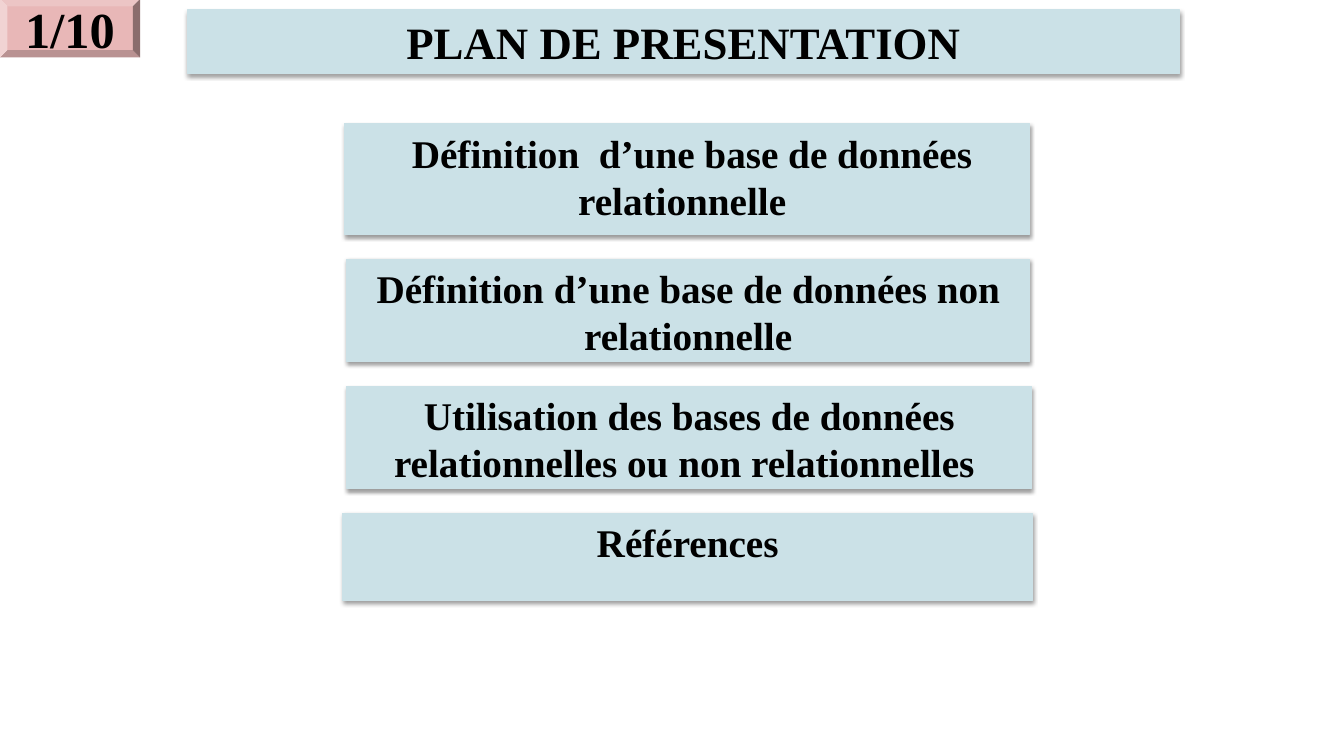
"""Build the outline slide of a talk on relational and non-relational databases."""
from lxml import etree
from pptx import Presentation, util as u
from pptx.dml.color import RGBColor
from pptx.enum import shapes, text
from pptx.oxml.ns import qn

WIDTH, HEIGHT = 13.33, 7.5
FONT = "Times New Roman"
COLORS = {"panel": "CBE1E7", "badge": "E8B7B7", "ink": "000000"}
TOPICS = [
    ((0.2565, 0.164, 0.5094, 0.1467), " Définition  d’une base de données relationnelle "),
    ((0.2581, 0.3427, 0.5079, 0.136), "Définition d’une base de données non relationnelle"),
    ((0.2581, 0.5107, 0.5094, 0.136),
     "Utilisation des bases de données relationnelles ou non relationnelles "),
    ((0.2551, 0.6787, 0.5131, 0.116), "Références"),
]


def color(name):
    """Return the named colour."""
    return RGBColor.from_string(COLORS[name])


def add_block(slide, kind, shares, fill, label, size):
    """Add a filled shape, placed by shares of the slide, with a bold centred label."""
    left, top, width, height = shares
    shape = slide.shapes.add_shape(
        kind, u.Inches(left * WIDTH), u.Inches(top * HEIGHT),
        u.Inches(width * WIDTH), u.Inches(height * HEIGHT))
    shape.shadow.inherit = False
    shape.fill.solid()
    shape.fill.fore_color.rgb = color(fill)
    shape.line.fill.background()
    shape.text_frame.text = label
    paragraph = shape.text_frame.paragraphs[0]
    paragraph.alignment = text.PP_ALIGN.CENTER
    font = paragraph.runs[0].font
    font.name, font.size, font.bold = FONT, u.Pt(size), True
    font.color.rgb = color("ink")
    return shape


def add_shadow(shape):
    """Give the shape a soft shadow that falls straight down."""
    effects = shape._element.spPr.find(qn("a:effectLst"))
    shadow = etree.SubElement(
        effects, qn("a:outerShdw"), blurRad=str(u.Pt(3.1)), dist=str(u.Pt(1.6)),
        dir="5400000", rotWithShape="0")
    tint = etree.SubElement(shadow, qn("a:srgbClr"), val=COLORS["ink"])
    etree.SubElement(tint, qn("a:alpha"), val="38000")


def add_panel(slide, shares, label, size):
    """Add a shadowed panel with its label at the top."""
    shape = add_block(slide, shapes.MSO_SHAPE.RECTANGLE, shares, "panel", label, size)
    shape.line.color.rgb = color("panel")
    shape.line.width = u.Pt(0.75)
    add_shadow(shape)
    frame = shape.text_frame
    frame.word_wrap = True
    frame.vertical_anchor = text.MSO_ANCHOR.TOP
    frame.margin_left = frame.margin_right = u.Inches(0.05)
    frame.margin_top = frame.margin_bottom = u.Inches(0.05)
    frame.paragraphs[0].space_before = u.Pt(4)


def add_badge(slide, shares, label):
    """Add the bevelled page counter."""
    shape = add_block(slide, shapes.MSO_SHAPE.BEVEL, shares, "badge", label, 36)
    shape.text_frame.word_wrap = False
    shape.text_frame.vertical_anchor = text.MSO_ANCHOR.MIDDLE


def main():
    """Build and save the slide."""
    presentation = Presentation()
    presentation.slide_width = u.Inches(WIDTH)
    presentation.slide_height = u.Inches(HEIGHT)
    slide = presentation.slides.add_slide(presentation.slide_layouts[6])
    add_panel(slide, (0.1395, 0.0133, 0.7382, 0.084), "PLAN DE PRESENTATION", 32)
    for shares, label in TOPICS:
        add_panel(slide, shares, label, 28)
    add_badge(slide, (0, -0.0013, 0.1043, 0.0773), "1/10")
    presentation.save("out.pptx")


if __name__ == "__main__":
    main()
